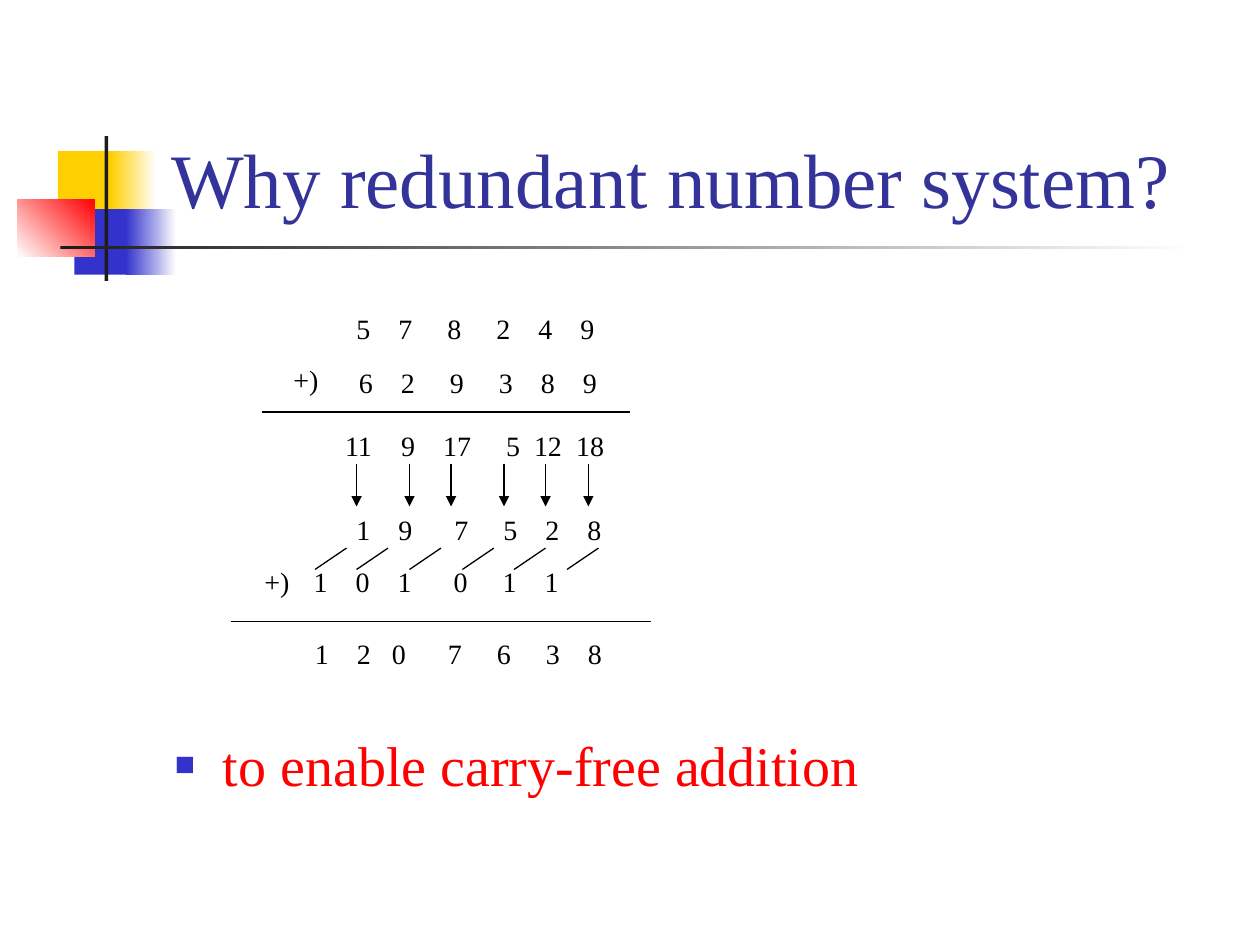
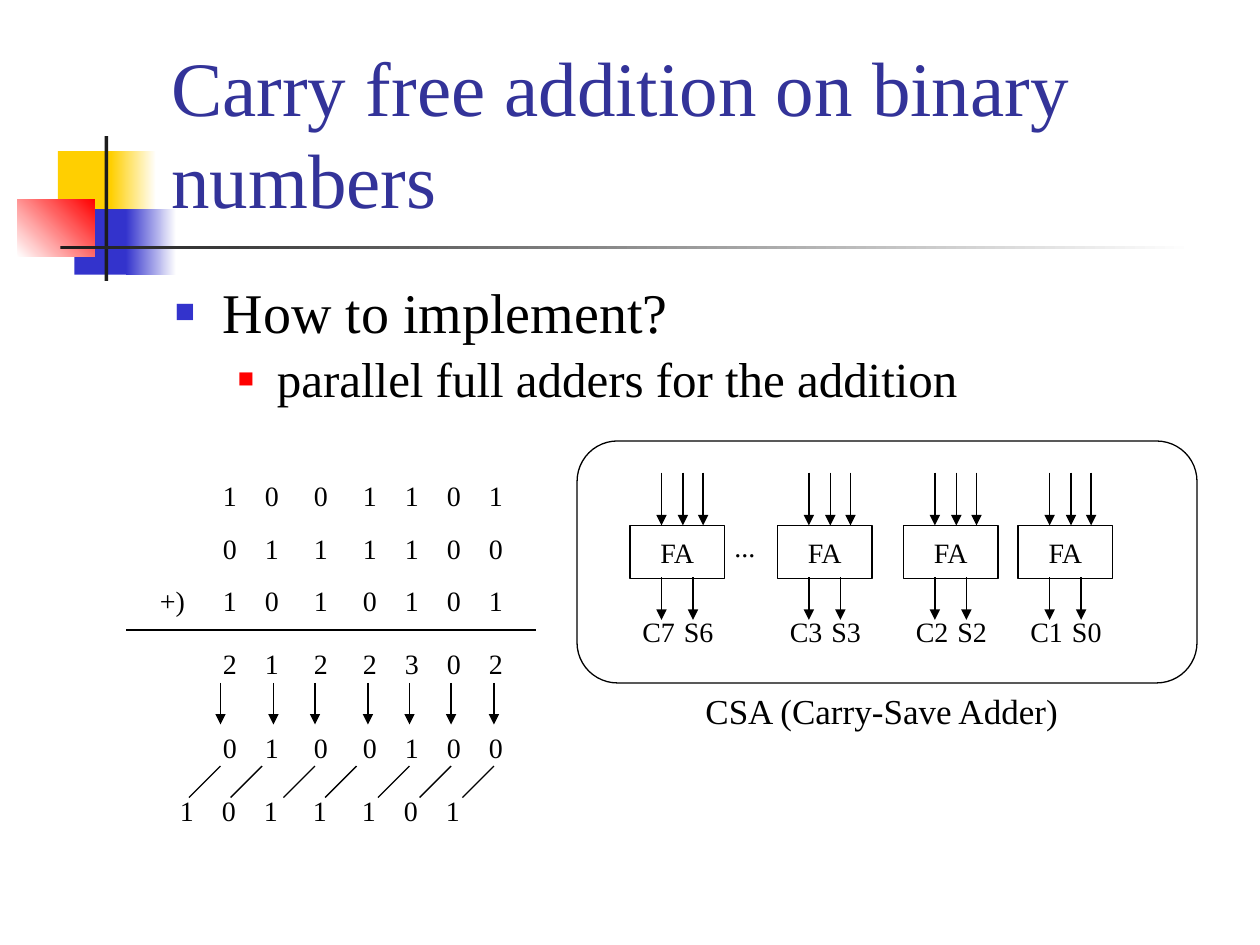
from lxml import etree
from pptx import Presentation
from pptx.dml.color import RGBColor
from pptx.enum import shapes, text
from pptx.oxml import ns
from pptx.util import Inches, Pt

FONT = "Times New Roman"
BLACK, WHITE, NAVY = "000000", "FFFFFF", "333399"
YELLOW, BLUE, RED, DARK = "FFCF01", "3333CC", "FF0000", "1C1C1C"
rgb = RGBColor.from_string


def add_text(slide, x, y, w, h, words, size=16, color=BLACK, gaps=""):
    """Add a line of text; gaps gives the distance between words in space widths."""
    box = slide.shapes.add_textbox(Inches(x), Inches(y), Inches(w), Inches(h))
    frame = box.text_frame
    frame.word_wrap = bool(gaps)
    para = frame.paragraphs[0]
    if gaps:
        # Digits are half an em wide and spaces a quarter of an em
        frame.margin_right = 0
        items = words.split()
        words = "\t".join(items)
        tabs = etree.SubElement(para._p.get_or_add_pPr(), ns.qn("a:tabLst"))
        stop = 0
        for item, gap in zip(items, gaps):
            stop += Pt(size * (len(item) / 2 + int(gap) / 4))
            etree.SubElement(tabs, ns.qn("a:tab"), pos=str(stop), algn="l")
    run = para.add_run()
    run.text = words
    run.font.name, run.font.size = FONT, Pt(size)
    run.font.color.rgb = rgb(color)
    return box


def add_line(slide, x1, y1, x2, y2, arrow=False):
    line = slide.shapes.add_connector(
        shapes.MSO_CONNECTOR.STRAIGHT, Inches(x1), Inches(y1), Inches(x2), Inches(y2))
    line.line.color.rgb = rgb(BLACK)
    line.line.width = Pt(0.75)
    if arrow:
        etree.SubElement(line.line._get_or_add_ln(), ns.qn("a:tailEnd"), type="triangle")
    etree.SubElement(line._element.spPr, ns.qn("a:effectLst"))


prs = Presentation()
prs.slide_width, prs.slide_height = Inches(10), Inches(7.5)
layout = prs.slide_layouts[5]

# Titles
titles = ["Why redundant number system?", "Carry free addition on binary numbers"]
slides = []
for words in titles:
    slide = prs.slides.add_slide(layout)
    slides.append(slide)
    title = slide.shapes.title
    title.left, title.top = Inches(1.26), Inches(0.23)
    title.width, title.height = Inches(8.52), Inches(1.6)
    frame = title.text_frame
    frame.word_wrap = True
    frame.auto_size = text.MSO_AUTO_SIZE.NONE
    frame.vertical_anchor = text.MSO_ANCHOR.BOTTOM
    frame.paragraphs[0].alignment = text.PP_ALIGN.LEFT
    run = frame.paragraphs[0].add_run()
    run.text = words
    run.font.name, run.font.size = FONT, Pt(44)
    run.font.color.rgb = rgb(NAVY)
why, binary = slides

# Shared ornament, kept on the layout: place, start colour, end colour, angle
ornament = [
    (0.46, 1.2, 0.48, 0.52, YELLOW, None, 0),
    (0.88, 1.2, 0.36, 0.52, YELLOW, WHITE, 0),
    (0.59, 1.66, 0.46, 0.52, BLUE, None, 0),
    (1, 1.66, 0.4, 0.52, BLUE, WHITE, 0),
    (0.14, 1.58, 0.61, 0.46, WHITE, RED, 45),
    (0.83, 1.08, 0.03, 1.15, DARK, None, 0),
    (0.48, 1.95, 9, 0.03, DARK, WHITE, 0),
]
for x, y, w, h, start, end, angle in ornament:
    block = why.shapes.add_shape(
        shapes.MSO_SHAPE.RECTANGLE, Inches(x), Inches(y), Inches(w), Inches(h))
    block.shadow.inherit = False
    block.line.fill.background()
    if end:
        block.fill.gradient()
        block.fill.gradient_angle = angle
        for stop, color in zip(block.fill.gradient_stops, (start, end)):
            stop.color.rgb = rgb(color)
    else:
        block.fill.solid()
        block.fill.fore_color.rgb = rgb(start)
    layout.shapes.element.append(block._element)

# Bullets: words, size, colour, bullet colour, bullet size, margin, hanging, line spacing
bodies = [
    (why, 5.75, 0.96, [
        ("to enable carry-free addition", 32, RED, BLUE, 60, 0.38, 0.38, 1.0)]),
    (binary, 2.21, 1.13, [
        ("How to implement?", 32, BLACK, BLUE, 60, 0.38, 0.38, 0.9),
        ("parallel full adders for the addition", 28, BLACK, RED, 55, 0.81, 0.31, 0.9)]),
]
for slide, y, h, points in bodies:
    body = slide.shapes.add_textbox(Inches(1.29), Inches(y), Inches(8.5), Inches(h))
    frame = body.text_frame
    frame.word_wrap = True
    for i, (words, size, color, mark, percent, margin, hang, spacing) in enumerate(points):
        para = frame.add_paragraph() if i else frame.paragraphs[0]
        para.level = i
        para.line_spacing = spacing
        para.space_before = Pt(size * 0.2)
        props = para._p.get_or_add_pPr()
        props.set("marL", str(Inches(margin)))
        props.set("indent", str(-Inches(hang)))
        bullet_color = etree.SubElement(props, ns.qn("a:buClr"))
        etree.SubElement(bullet_color, ns.qn("a:srgbClr"), val=mark)
        etree.SubElement(props, ns.qn("a:buSzPct"), val=str(percent * 1000))
        etree.SubElement(props, ns.qn("a:buFont"), typeface=FONT)
        etree.SubElement(props, ns.qn("a:buChar"), char="\u25a0")
        run = para.add_run()
        run.text = words
        run.font.name, run.font.size = FONT, Pt(size)
        run.font.color.rgb = rgb(color)

# Decimal addition
decimal_rows = [
    (2.73, 2.42, "5 7 8 2 4 9", "45544"),
    (2.75, 2.85, "6 2 9 3 8 9", "45544"),
    (2.64, 3.35, "11 9 17 5 12 18", "44522"),
    (2.73, 4.02, "1 9 7 5 2 8", "46544"),
    (2.39, 4.43, "1 0 1 0 1 1", "44654"),
    (2.4, 5, "1 2 0 7 6 3 8", "436554"),
]
for x, y, digits, gaps in decimal_rows:
    add_text(why, x, y, 2.48, 0.37, digits, gaps=gaps)
for x, y in [(2.23, 2.83), (2, 4.43)]:
    add_text(why, x, y, 0.4, 0.37, "+)")
add_line(why, 2.08, 3.27, 5, 3.27)
add_line(why, 1.83, 4.93, 5.17, 4.93)

# Binary addition
binary_rows = [
    (3.75, "1 0 0 1 1 0 1"),
    (4.17, "0 1 1 1 1 0 0"),
    (4.58, "1 0 1 0 1 0 1"),
    (5.08, "2 1 2 2 3 0 2"),
    (5.75, "0 1 0 0 1 0 0"),
]
for y, digits in binary_rows:
    add_text(binary, 1.67, y, 2.42, 0.37, digits, gaps="455444")
add_text(binary, 1.33, 6.25, 2.42, 0.37, "1 0 1 1 1 0 1", gaps="445544")
add_text(binary, 1.17, 4.58, 0.4, 0.37, "+)")
add_line(binary, 1, 5, 4.25, 5)

# Arrows to the sum digits and slanted lines to the carries
for x in (2.83, 3.25, 3.58, 4, 4.33, 4.67):
    add_line(why, x, 3.68, x, 4.02, arrow=True)
for x in (2.75, 3.08, 3.5, 3.92, 4.33, 4.75):
    add_line(why, x, 4.35, x - 0.25, 4.52)
for x in (1.75, 2.17, 2.5, 2.92, 3.25, 3.58, 3.92):
    add_line(binary, x, 5.42, x, 5.75, arrow=True)
for x in (1.75, 2.08, 2.5, 2.83, 3.25, 3.58, 3.92):
    add_line(binary, x, 6.08, x - 0.25, 6.33)

# Carry-save adder: frame and full adders
outlines = [(shapes.MSO_SHAPE.ROUNDED_RECTANGLE, 4.58, 3.5, 4.92, 1.92, "")]
adders = [(5, "C7", "S6"), (6.17, "C3", "S3"), (7.17, "C2", "S2"), (8.08, "C1", "S0")]
for x, carry, total in adders:
    outlines.append((shapes.MSO_SHAPE.RECTANGLE, x, 4.17, 0.75, 0.42, "FA"))
    for dx in (0.25, 0.42, 0.58):
        add_line(binary, x + dx, 3.75, x + dx, 4.17, arrow=True)
    for dx in (0.25, 0.5):
        add_line(binary, x + dx, 4.58, x + dx, 4.92, arrow=True)
    add_text(binary, x, 4.83, 0.46, 0.37, carry)
    add_text(binary, x + 0.33, 4.83, 0.44, 0.37, total)
for kind, x, y, w, h, label in outlines:
    outline = binary.shapes.add_shape(kind, Inches(x), Inches(y), Inches(w), Inches(h))
    outline.shadow.inherit = False
    outline.fill.background()
    outline.line.color.rgb = rgb(BLACK)
    outline.line.width = Pt(0.75)
    if label:
        frame = outline.text_frame
        frame.word_wrap = False
        frame.vertical_anchor = text.MSO_ANCHOR.MIDDLE
        frame.paragraphs[0].alignment = text.PP_ALIGN.CENTER
        run = frame.paragraphs[0].add_run()
        run.text = label
        run.font.name, run.font.size = FONT, Pt(16)
        run.font.color.rgb = rgb(BLACK)
add_text(binary, 5.73, 4.15, 0.37, 0.37, "...")
add_text(binary, 5.5, 5.42, 3.02, 0.43, "CSA (Carry-Save Adder)", size=20)

prs.save("out.pptx")
